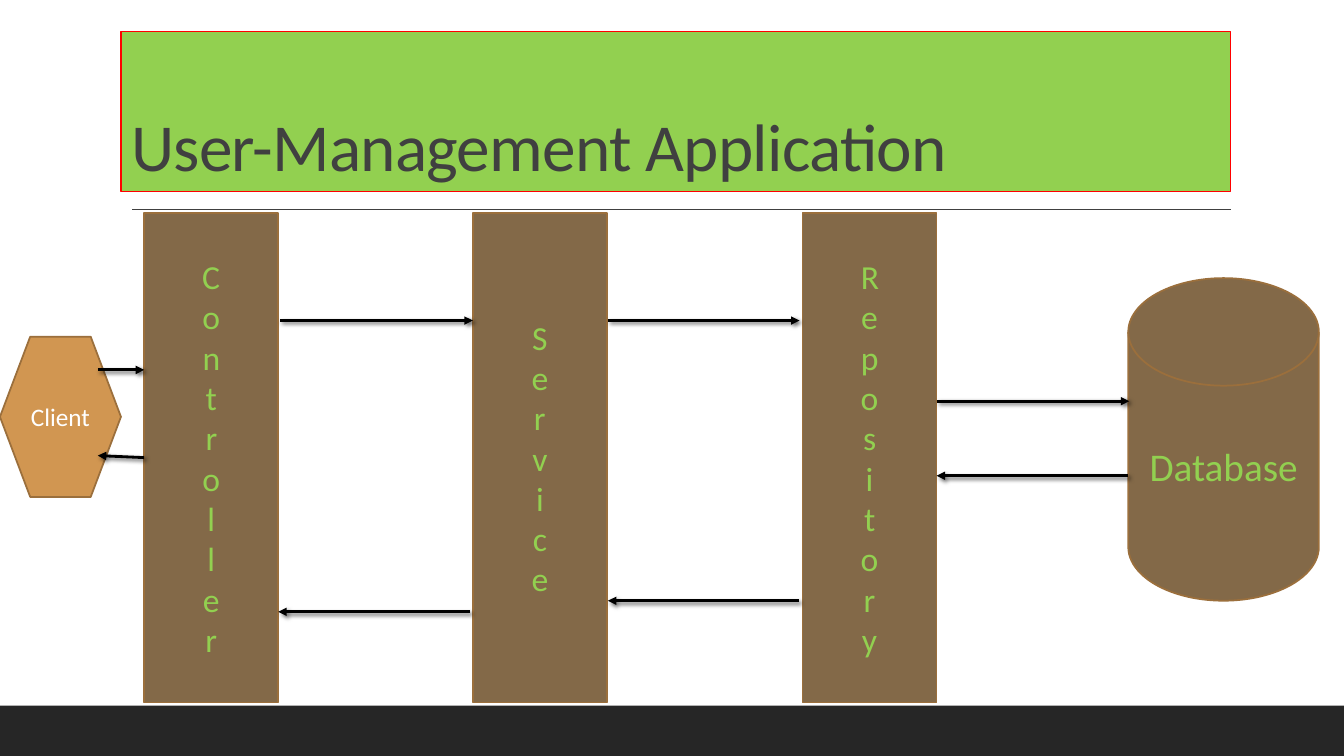
from dataclasses import dataclass

import pptx
import pptx.dml.color
import pptx.enum.shapes
import pptx.enum.text
import pptx.oxml
import pptx.oxml.ns
import pptx.util
from pptx.enum.shapes import MSO_SHAPE
from pptx.enum.text import MSO_ANCHOR, PP_ALIGN

EMU_PER_PX = 9144  # 100 px to the inch

FONT = "Calibri"
GREEN, BROWN, ORANGE = "92D050", "836948", "D19651"
BORDER, DARK, BLACK, WHITE, RED = "9B6F3C", "404040", "000000", "FFFFFF", "FF0000"
BAND = "262626"

SHADOW = (
    '<a:effectLst {ns}><a:outerShdw blurRad="38100" dist="25400" dir="2700000" '
    'rotWithShape="0"><a:srgbClr val="000000"><a:alpha val="60000"/></a:srgbClr>'
    "</a:outerShdw></a:effectLst>"
)
NO_SHADOW = "<a:effectLst {ns}/>"
ARROWHEAD = '<a:tailEnd {ns} type="triangle"/>'


@dataclass(frozen=True)
class Component:
    label: str
    left: int
    top: int
    width: int
    height: int
    preset: MSO_SHAPE = MSO_SHAPE.RECTANGLE
    fill: str = BROWN
    size: int = 24
    color: str = GREEN
    stacked: bool = False


@dataclass(frozen=True)
class Call:
    x1: int
    y1: int
    x2: int
    y2: int


LAYER_TOP, LAYER_WIDTH, LAYER_HEIGHT = 211, 133, 486
LAYERS = [
    Component(label, left, LAYER_TOP, LAYER_WIDTH, LAYER_HEIGHT, stacked=True)
    for label, left in (("Controller", 143), ("Service", 469), ("Repository", 796))
]
DATABASE = Component("Database", 1119, 276, 189, 320,
                     MSO_SHAPE.FLOWCHART_MAGNETIC_DISK, size=28)
CLIENT = Component("Client", 0, 334, 120, 159, MSO_SHAPE.HEXAGON, ORANGE, 18, WHITE)

CALLS = [
    Call(278, 318, 469, 318),
    Call(603, 318, 793, 318),
    Call(929, 398, 1120, 398),
    Call(1119, 472, 929, 472),
    Call(792, 596, 603, 596),
    Call(466, 607, 276, 607),
    Call(97, 367, 143, 367),
]
REPLY_TO_CLIENT = Call(143, 454, 97, 452)


def px(value: int) -> pptx.util.Emu:
    return pptx.util.Emu(value * EMU_PER_PX)


def rgb(color: str) -> pptx.dml.color.RGBColor:
    return pptx.dml.color.RGBColor.from_string(color)


def xml(template: str):
    return pptx.oxml.parse_xml(template.format(ns=pptx.oxml.ns.nsdecls("a")))


def paint(shape, fill: str, border: str | None = None, weight: float = 1.25) -> None:
    shape.shadow.inherit = False
    shape.fill.solid()
    shape.fill.fore_color.rgb = rgb(fill)
    if border is None:
        shape.line.fill.background()
    else:
        shape.line.color.rgb = rgb(border)
        shape.line.width = pptx.util.Pt(weight)


def write(shape, text: str, *, size: int, color: str, align=PP_ALIGN.CENTER,
          anchor=MSO_ANCHOR.MIDDLE, line_spacing: float = 1.0,
          tracking: int = 0, stacked: bool = False) -> None:
    """Fill a shape with one formatted run; tracking is in hundredths of a point."""
    frame = shape.text_frame
    frame.word_wrap = True
    frame.auto_size = pptx.enum.text.MSO_AUTO_SIZE.NONE
    frame.vertical_anchor = anchor
    if stacked:
        frame._txBody.bodyPr.set("vert", "wordArtVert")
    paragraph = frame.paragraphs[0]
    paragraph.alignment = align
    paragraph.line_spacing = line_spacing
    run = paragraph.add_run()
    run.text = text
    run.font.name = FONT
    run.font.size = pptx.util.Pt(size)
    run.font.color.rgb = rgb(color)
    if tracking:
        run.font._element.set("spc", str(tracking))


def add_component(slide, item: Component):
    shape = slide.shapes.add_shape(
        item.preset, px(item.left), px(item.top), px(item.width), px(item.height))
    paint(shape, item.fill, BORDER)
    write(shape, item.label, size=item.size, color=item.color, stacked=item.stacked)
    return shape


def add_line(slide, ends: Call, color: str, weight: float, effects: str):
    line = slide.shapes.add_connector(
        pptx.enum.shapes.MSO_CONNECTOR.STRAIGHT,
        px(ends.x1), px(ends.y1), px(ends.x2), px(ends.y2))
    line.line.color.rgb = rgb(color)
    line.line.width = pptx.util.Pt(weight)
    line._element.spPr.append(xml(effects))
    return line


def add_arrow(slide, call: Call):
    arrow = add_line(slide, call, BLACK, 2, SHADOW)
    arrow.line._get_or_add_ln().append(xml(ARROWHEAD))
    return arrow


def add_title(slide, text: str) -> None:
    title = slide.shapes.title
    title.left, title.top, title.width, title.height = map(px, (120, 31, 1100, 159))
    title.fill.solid()
    title.fill.fore_color.rgb = rgb(GREEN)
    title.line.color.rgb = rgb(RED)
    title.line.width = pptx.util.Pt(0.75)
    write(title, text, size=48, color=DARK, align=PP_ALIGN.LEFT,
          anchor=MSO_ANCHOR.BOTTOM, line_spacing=0.9, tracking=-50)


def main() -> None:
    deck = pptx.Presentation()
    deck.slide_width, deck.slide_height = pptx.util.Inches(13.33), pptx.util.Inches(7.5)
    slide = deck.slides.add_slide(deck.slide_layouts[5])

    footer_band = slide.shapes.add_shape(
        MSO_SHAPE.RECTANGLE, 0, px(700), px(1333), px(50))
    paint(footer_band, BAND)
    add_line(slide, Call(131, 208, 1221, 208), DARK, 1, NO_SHADOW)
    add_title(slide, "User-Management Application")

    controller, *_ = [add_component(slide, layer) for layer in LAYERS]
    add_component(slide, DATABASE)
    add_component(slide, CLIENT)
    for call in CALLS:
        add_arrow(slide, call)
    add_arrow(slide, REPLY_TO_CLIENT).begin_connect(controller, 1)

    deck.save("out.pptx")


if __name__ == "__main__":
    main()
